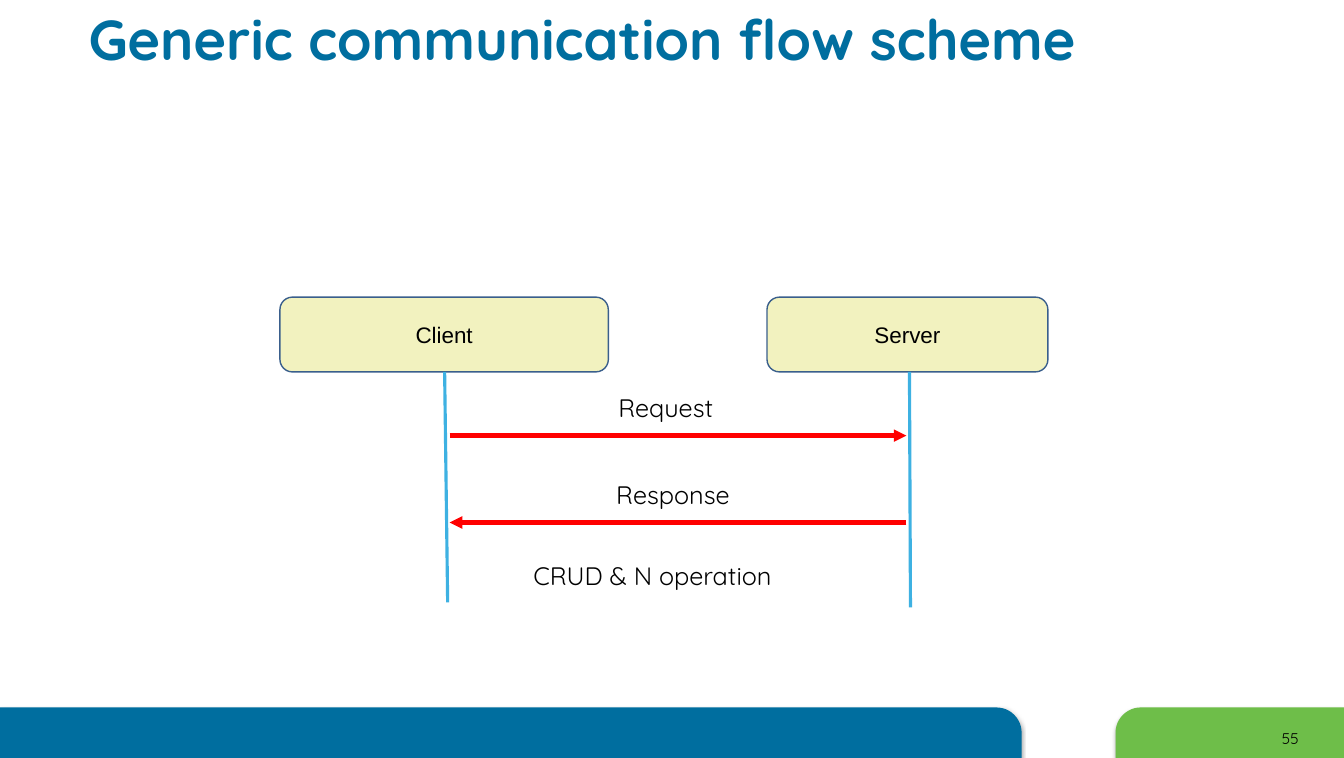
import lxml.etree
import pptx
import pptx.dml.color
import pptx.enum.shapes
import pptx.enum.text
import pptx.oxml.ns
import pptx.util

RGBColor = pptx.dml.color.RGBColor
BLUE = RGBColor(0x00, 0x6E, 0x9F)
GREEN = RGBColor(0x6E, 0xBE, 0x49)
OLIVE = RGBColor(0xCC, 0xCC, 0x00)
NAVY = RGBColor(0x3A, 0x5F, 0x8C)
SKY = RGBColor(0x3E, 0xB1, 0xE2)
RED = RGBColor(0xFF, 0x00, 0x00)
BLACK = RGBColor(0x00, 0x00, 0x00)

MSO_SHAPE = pptx.enum.shapes.MSO_SHAPE
PP_ALIGN = pptx.enum.text.PP_ALIGN
MSO_ANCHOR = pptx.enum.text.MSO_ANCHOR
PX = 9144


def emu(*lengths):
    return [pptx.util.Emu(length * PX) for length in lengths]


def add_element(parent, tag, **attributes):
    return lxml.etree.SubElement(parent, pptx.oxml.ns.qn(tag), attributes)


def write(shape, text, size=18, font="Quicksand", color=BLACK, bold=False,
          align=PP_ALIGN.LEFT, anchor=MSO_ANCHOR.TOP, wrap=True):
    frame = shape.text_frame
    frame.word_wrap = wrap
    frame.vertical_anchor = anchor
    paragraph = frame.paragraphs[0]
    paragraph.alignment = align
    run = paragraph.add_run()
    run.text = text
    run.font.size = pptx.util.Pt(size)
    run.font.name = font
    run.font.bold = bold
    run.font.color.rgb = color


class FlowSlide:
    def __init__(self, presentation):
        self.shapes = presentation.slides.add_slide(presentation.slide_layouts[6]).shapes

    def block(self, preset, box, fill):
        shape = self.shapes.add_shape(preset, *emu(*box))
        shape.shadow.inherit = False
        shape.fill.solid()
        shape.fill.fore_color.rgb = fill
        return shape

    def footer_bar(self, box, fill, flipped=False):
        bar = self.block(MSO_SHAPE.ROUND_1_RECTANGLE, box, fill)
        bar.adjustments[0] = 0.5
        bar.line.fill.background()
        properties = bar._element.spPr
        if flipped:
            properties.find(pptx.oxml.ns.qn("a:xfrm")).set("flipH", "1")
        effects = properties.find(pptx.oxml.ns.qn("a:effectLst"))
        shadow = add_element(effects, "a:outerShdw", blurRad="39370", dist="22860",
                             dir="5400000", rotWithShape="0")
        shade = add_element(shadow, "a:srgbClr", val="000000")
        add_element(shade, "a:alpha", val="35000")

    def participant(self, name, box):
        participant = self.block(MSO_SHAPE.ROUNDED_RECTANGLE, box, OLIVE)
        fill = participant._element.spPr.find(pptx.oxml.ns.qn("a:solidFill"))
        add_element(fill[0], "a:alpha", val="25000")
        participant.line.color.rgb = NAVY
        participant.line.width = pptx.util.Pt(1)
        write(participant, name, size=16, font="Arial",
              align=PP_ALIGN.CENTER, anchor=MSO_ANCHOR.MIDDLE)

    def line(self, ends, color, width, arrow=False):
        line = self.shapes.add_connector(
            pptx.enum.shapes.MSO_CONNECTOR.STRAIGHT, *emu(*ends))
        line.line.color.rgb = color
        line.line.width = pptx.util.Pt(width)
        properties = line._element.spPr
        if arrow:
            add_element(properties.find(pptx.oxml.ns.qn("a:ln")), "a:tailEnd", type="triangle")
        add_element(properties, "a:effectLst")

    def label(self, text, box, **style):
        write(self.shapes.add_textbox(*emu(*box)), text, **style)


def main():
    presentation = pptx.Presentation()
    presentation.slide_width, presentation.slide_height = emu(1330, 750)
    slide = FlowSlide(presentation)

    slide.footer_bar((0, 700, 1011, 50), BLUE)
    slide.footer_bar((1104, 700, 226, 50), GREEN, flipped=True)
    slide.label("55", (1231, 716, 92, 29), size=11, align=PP_ALIGN.CENTER)
    slide.label("Generic communication flow scheme", (78, 3, 1197, 69), size=40,
                color=BLUE, bold=True, anchor=MSO_ANCHOR.MIDDLE)

    for name, left, width, lifeline in (
        ("Client", 277, 325, (440, 368, 443, 596)),
        ("Server", 759, 278, (900, 368, 901, 601)),
    ):
        slide.participant(name, (left, 294, width, 74))
        slide.line(lifeline, SKY, 2.25)

    for start, end, y in ((445, 897, 431), (897, 445, 517)):
        slide.line((start, y, end, y), RED, 3, arrow=True)

    for message, left, top, width in (
        ("Request", 602, 383, 119),
        ("Response", 600, 469, 137),
        ("CRUD & N operation", 518, 549, 271),
    ):
        slide.label(message, (left, top, width, 40), wrap=False)

    presentation.save("out.pptx")


if __name__ == "__main__":
    main()
